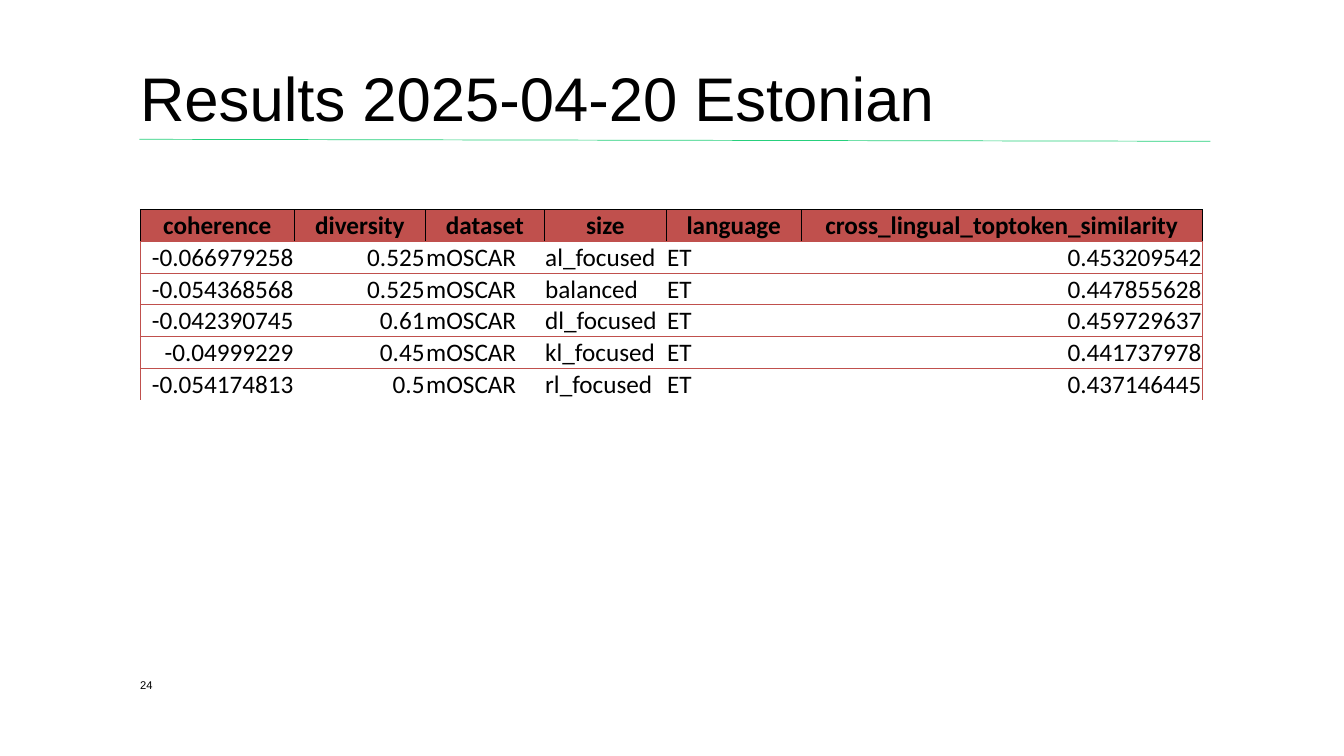
from pptx import Presentation
from pptx.dml.color import RGBColor
from pptx.enum.shapes import MSO_CONNECTOR as CONN
from pptx.enum.text import MSO_ANCHOR as ANCHOR, PP_ALIGN as ALIGN
from pptx.oxml.ns import qn
from pptx.util import Cm, Pt
from lxml.etree import SubElement

BLACK = RGBColor(0x00, 0x00, 0x00)
RED = RGBColor(0xC0, 0x50, 0x4D)
GREEN = RGBColor(0x26, 0xD0, 0x7C)

LEFT = 3.53
COL_WIDTHS = [3.89, 3.3, 3.0, 3.07, 3.4, 10.11]
ROW_HEIGHT = 0.8
HEADERS = ["coherence", "diversity", "dataset", "size", "language",
           "cross_lingual_toptoken_similarity"]
RESULTS = [
    ["-0.066979258", "0.525", "mOSCAR", "al_focused", "ET", "0.453209542"],
    ["-0.054368568", "0.525", "mOSCAR", "balanced", "ET", "0.447855628"],
    ["-0.042390745", "0.61", "mOSCAR", "dl_focused", "ET", "0.459729637"],
    ["-0.04999229", "0.45", "mOSCAR", "kl_focused", "ET", "0.441737978"],
    ["-0.054174813", "0.5", "mOSCAR", "rl_focused", "ET", "0.437146445"],
]
NUMERIC_COLS = {0, 1, 5}


def add_run(p, text, font, size, bold=False):
    r = p.add_run()
    r.text = text
    r.font.name = font
    r.font.size = Pt(size)
    r.font.bold = bold
    r.font.color.rgb = BLACK


def add_text(s, x, y, w, h, text, size, spacing=1.0):
    tf = s.shapes.add_textbox(Cm(x), Cm(y), Cm(w), Cm(h)).text_frame
    tf.word_wrap = True
    tf.vertical_anchor = ANCHOR.BOTTOM
    tf.margin_left = tf.margin_right = tf.margin_top = tf.margin_bottom = 0
    p = tf.paragraphs[0]
    p.line_spacing = spacing
    add_run(p, text, "Arial", size)


def add_heading(s, x, y, w, h):
    # Thin rule below the title
    line = s.shapes.add_connector(CONN.STRAIGHT, Cm(x - 0.02), Cm(y + h + 0.1),
                                  Cm(x + w), Cm(y + h + 0.15))
    line.line.color.rgb = GREEN
    line.line.width = Pt(0.5)
    SubElement(line._element.spPr, qn("a:effectLst"))
    # Title
    add_text(s, x, y, w, h, "Results 2025-04-20 Estonian", 44, 0.9)


def set_borders(cell, left, right, top, bottom):
    tcPr = cell._tc.get_or_add_tcPr()
    sides = {"L": left, "R": right, "T": top, "B": bottom}
    for side, color in sides.items():
        ln = SubElement(tcPr, qn(f"a:ln{side}"), w=str(Pt(0.5)))
        if color is None:
            SubElement(ln, qn("a:noFill"))
        else:
            fill = SubElement(ln, qn("a:solidFill"))
            SubElement(fill, qn("a:srgbClr"), val=str(color))


def fill_cell(cell, text, align, anchor, bold):
    cell.margin_left = cell.margin_right = cell.margin_top = Cm(0.02)
    cell.margin_bottom = 0
    cell.vertical_anchor = anchor
    p = cell.text_frame.paragraphs[0]
    p.alignment = align
    add_run(p, text, "Calibri", 18, bold)


def add_results_table(s, x, y):
    rows = [HEADERS] + RESULTS
    last_row, last_col = len(rows) - 1, len(HEADERS) - 1
    table = s.shapes.add_table(len(rows), len(HEADERS), Cm(x), Cm(y),
                               Cm(sum(COL_WIDTHS)),
                               Cm(ROW_HEIGHT * len(rows))).table
    table.horz_banding = False
    for col, width in zip(table.columns, COL_WIDTHS):
        col.width = Cm(width)
    for i, values in enumerate(rows):
        table.rows[i].height = Cm(ROW_HEIGHT)
        for j, text in enumerate(values):
            cell = table.cell(i, j)
            if i == 0:
                # Header row
                fill_cell(cell, text, ALIGN.CENTER, ANCHOR.TOP, True)
                set_borders(cell, BLACK, BLACK, BLACK, RED)
                cell.fill.solid()
                cell.fill.fore_color.rgb = RED
            else:
                # Result rows, open at the bottom of the table
                align = ALIGN.RIGHT if j in NUMERIC_COLS else ALIGN.LEFT
                fill_cell(cell, text, align, ANCHOR.BOTTOM, False)
                set_borders(cell, RED if j == 0 else None,
                            RED if j == last_col else None,
                            RED, RED if i < last_row else None)
                cell.fill.background()


def main():
    prs = Presentation()
    prs.slide_width, prs.slide_height = Cm(33.87), Cm(19.05)
    s = prs.slides.add_slide(prs.slide_layouts[6])
    add_heading(s, LEFT, 1.02, 26.97, 2.39)
    add_results_table(s, LEFT, 5.28)
    # Slide number
    add_text(s, LEFT, 16.76, 1.27, 0.66, "24", 8)
    prs.save("out.pptx")


if __name__ == "__main__":
    main()
